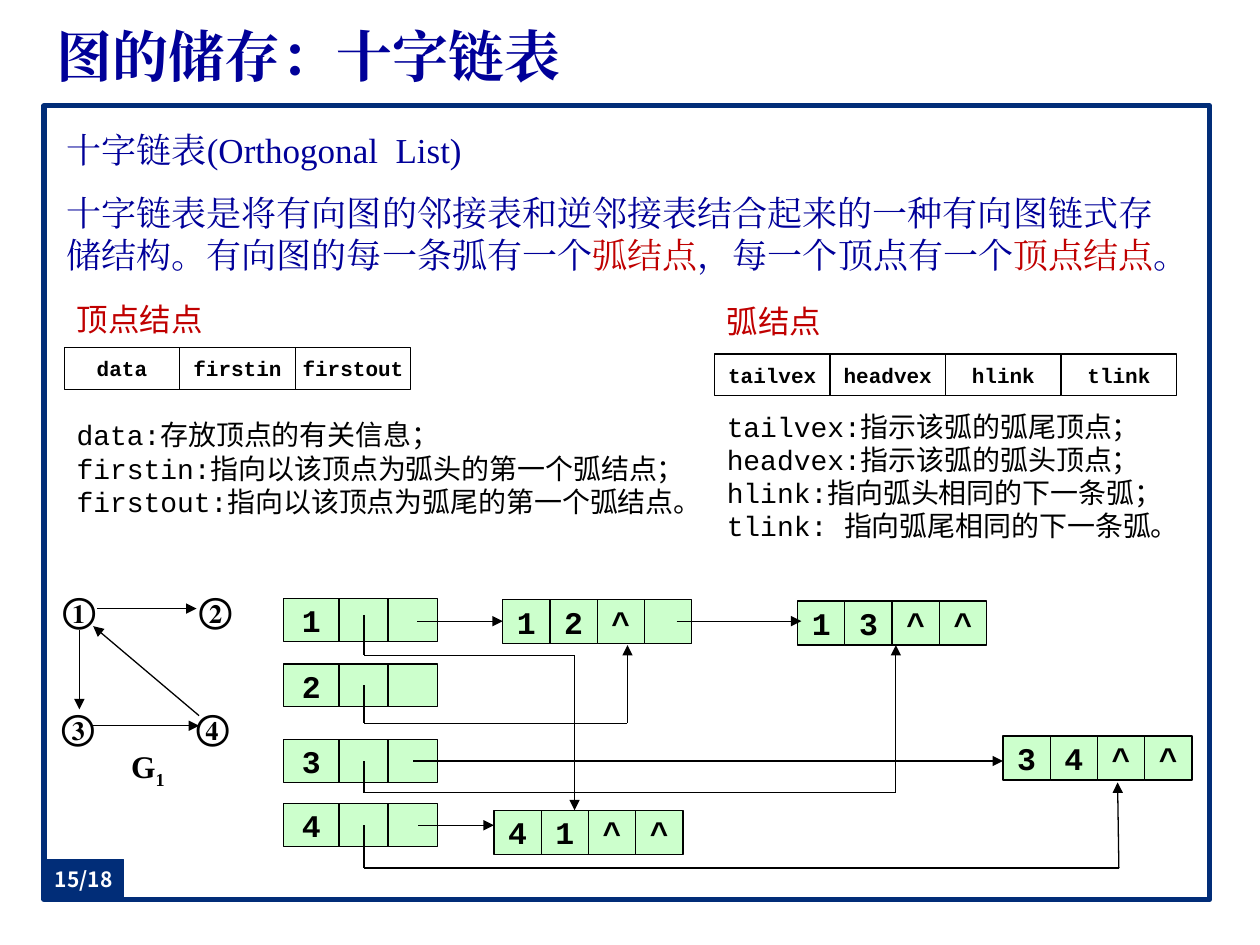
"""Build a slide on storing a directed graph as an orthogonal list."""
from dataclasses import dataclass
from itertools import pairwise

from lxml.etree import SubElement
from pptx import Presentation
from pptx.dml.color import RGBColor
from pptx.enum.shapes import MSO_CONNECTOR, MSO_SHAPE
from pptx.enum.text import MSO_ANCHOR, PP_ALIGN
from pptx.oxml.ns import qn
from pptx.util import Inches, Pt

COLORS = {
    "navy": "012D78",
    "blue": "000099",
    "red": "C00000",
    "black": "000000",
    "white": "FFFFFF",
    "green": "CCFFCC",
}
SERIF = "Times New Roman"
MONO = "Courier New"
SANS = "Noto Sans CJK SC"


@dataclass
class Run:
    text: str
    size: float
    font: str = MONO
    color: str = "black"
    bold: bool = False
    subscript: bool = False


@dataclass
class CellRow:
    left: float
    top: float
    width: float
    height: float
    labels: tuple
    size: float = 18
    fill: str = "green"


@dataclass
class Link:
    points: tuple


def rgb(name: str) -> RGBColor:
    return RGBColor.from_string(COLORS[name])


def add_run(paragraph, item: Run) -> None:
    run = paragraph.add_run()
    run.text = item.text
    run.font.size = Pt(item.size)
    run.font.bold = item.bold
    run.font.color.rgb = rgb(item.color)
    run.font.name = item.font
    properties = run.font._element
    SubElement(properties, qn("a:ea")).set("typeface", item.font)
    if item.subscript:
        properties.set("baseline", "-25000")


def write(frame, paragraphs: list, align=PP_ALIGN.LEFT, anchor=MSO_ANCHOR.TOP,
          wrap: bool = True, inset: tuple = (0.1, 0.05), spacing: float = None,
          gap: float = 0) -> None:
    frame.word_wrap = wrap
    frame.vertical_anchor = anchor
    frame.margin_left = frame.margin_right = Inches(inset[0])
    frame.margin_top = frame.margin_bottom = Inches(inset[1])
    for index, runs in enumerate(paragraphs):
        paragraph = frame.add_paragraph() if index else frame.paragraphs[0]
        paragraph.alignment = align
        paragraph.space_before = Pt(gap if index else 0)
        if spacing:
            paragraph.line_spacing = Pt(spacing)
        for run in runs:
            add_run(paragraph, run)


def add_text(slide, left: float, top: float, width: float, height: float,
             paragraphs: list, **options) -> None:
    shape = slide.shapes.add_textbox(Inches(left), Inches(top), Inches(width), Inches(height))
    write(shape.text_frame, paragraphs, **options)


def add_box(slide, left: float, top: float, width: float, height: float,
            fill: str, line: str = "black", weight: float = 0.75):
    shape = slide.shapes.add_shape(MSO_SHAPE.RECTANGLE, Inches(left), Inches(top),
                                   Inches(width), Inches(height))
    shape.shadow.inherit = False
    shape.fill.solid()
    shape.fill.fore_color.rgb = rgb(fill)
    shape.line.color.rgb = rgb(line)
    shape.line.width = Pt(weight)
    return shape


def add_cells(slide, row: CellRow) -> None:
    pitch = row.width / len(row.labels)
    for index, label in enumerate(row.labels):
        shape = add_box(slide, row.left + index * pitch, row.top, pitch, row.height, row.fill)
        if label:
            write(shape.text_frame, [[Run(label, row.size, bold=True)]], PP_ALIGN.CENTER,
                  MSO_ANCHOR.MIDDLE, wrap=False)


def add_link(slide, link: Link) -> None:
    segments = list(pairwise(link.points))
    for index, (start, end) in enumerate(segments):
        connector = slide.shapes.add_connector(
            MSO_CONNECTOR.STRAIGHT, *(Inches(value) for value in start + end))
        connector.line.color.rgb = rgb("black")
        connector.line.width = Pt(0.75)
        if index == len(segments) - 1:
            SubElement(connector.line._get_or_add_ln(), qn("a:tailEnd")).set("type", "triangle")
        SubElement(connector._element.spPr, qn("a:effectLst"))


BODY = [
    [Run("十字链表(Orthogonal  List)", 20, SERIF, "blue")],
    [Run("十字链表是将有向图的邻接表和逆邻接表结合起来的一种有向图链式存储结构。"
         "有向图的每一条弧有一个", 20, SERIF, "blue"),
     Run("弧结点", 20, SERIF, "red"),
     Run("，每一个顶点有一个", 20, SERIF, "blue"),
     Run("顶点结点", 20, SERIF, "red"),
     Run("。", 20, SERIF, "blue")],
]
VERTEX_FIELDS = ("data:存放顶点的有关信息；", "firstin:指向以该顶点为弧头的第一个弧结点；",
                 "firstout:指向以该顶点为弧尾的第一个弧结点。")
ARC_FIELDS = ("tailvex:指示该弧的弧尾顶点；", "headvex:指示该弧的弧头顶点；",
              "hlink:指向弧头相同的下一条弧；", "tlink: 指向弧尾相同的下一条弧。")
RECORDS = [
    CellRow(0.51, 2.76, 2.75, 0.33, ("data", "firstin", "firstout"), 12, "white"),
    CellRow(5.67, 2.81, 3.67, 0.33, ("tailvex", "headvex", "hlink", "tlink"), 12, "white"),
]
VERTEX_TOPS = {"1": 4.75, "2": 5.27, "3": 5.87, "4": 6.38}
ARCS = [
    CellRow(3.99, 4.76, 1.5, 0.35, ("1", "2", "^", "")),
    CellRow(6.33, 4.77, 1.5, 0.35, ("1", "3", "^", "^")),
    CellRow(3.92, 6.43, 1.5, 0.35, ("4", "1", "^", "^")),
    CellRow(7.96, 5.84, 1.5, 0.35, ("3", "4", "^", "^")),
]
LINKS = [
    Link(((3.31, 4.93), (3.99, 4.93))),
    Link(((5.37, 4.93), (6.36, 4.93))),
    Link(((3.28, 6.04), (7.96, 6.04))),
    Link(((3.32, 6.55), (3.92, 6.55))),
    Link(((2.89, 4.88), (2.89, 5.2), (4.56, 5.2), (4.56, 6.43))),
    Link(((2.89, 5.44), (2.89, 5.74), (4.98, 5.74), (4.98, 5.12))),
    Link(((2.89, 6.04), (2.89, 6.29), (7.11, 6.29), (7.11, 5.12))),
    Link(((2.89, 6.55), (2.89, 6.89), (8.88, 6.89), (8.87, 6.21))),
    Link(((0.77, 4.83), (1.56, 4.83))),
    Link(((0.63, 5), (0.63, 5.63))),
    Link(((1.58, 5.68), (0.74, 4.97))),
    Link(((0.74, 5.76), (1.58, 5.76))),
]
GRAPH_NODES = {"①": (0.5, 4.67), "②": (1.58, 4.67), "③": (0.49, 5.6), "④": (1.56, 5.6)}


def main() -> None:
    presentation = Presentation()
    presentation.slide_width, presentation.slide_height = Inches(10), Inches(7.5)
    slide = presentation.slides.add_slide(presentation.slide_layouts[5])

    title = slide.shapes.title
    title.left, title.top = Inches(0.35), Inches(0.13)
    title.width, title.height = Inches(9.25), Inches(0.62)
    write(title.text_frame, [[Run("图的储存：十字链表", 32, SERIF, "blue", True)]],
          anchor=MSO_ANCHOR.MIDDLE)

    add_box(slide, 0.35, 0.84, 9.25, 6.3, "white", "navy", 3)
    add_text(slide, 0.43, 0.92, 9.06, 1.4, BODY, inset=(0.1, 0.1), spacing=24, gap=12)

    add_text(slide, 0.51, 2.33, 1.55, 0.4, [[Run("顶点结点", 18, color="red")]])
    add_text(slide, 5.67, 2.35, 1.09, 0.4, [[Run("弧结点", 18, color="red")]])
    for left, top, width, height, fields in ((0.51, 3.27, 5.23, 0.91, VERTEX_FIELDS),
                                             (5.67, 3.2, 3.84, 1.18, ARC_FIELDS)):
        add_text(slide, left, top, width, height, [[Run(field, 16)] for field in fields],
                 wrap=False, spacing=19)

    vertices = [row for label, top in VERTEX_TOPS.items()
                for row in (CellRow(2.25, top, 0.44, 0.34, (label,)),
                            CellRow(2.69, top, 0.78, 0.34, ("", "")))]
    for row in RECORDS + vertices + ARCS:
        add_cells(slide, row)
    for link in LINKS:
        add_link(slide, link)

    for label, (left, top) in GRAPH_NODES.items():
        add_text(slide, left, top, 0.26, 0.34, [[Run(label, 20, SERIF, bold=True)]],
                 align=PP_ALIGN.CENTER, wrap=False, inset=(0, 0))
    add_text(slide, 0.94, 5.93, 0.47, 0.3,
             [[Run("G", 18, SERIF, bold=True), Run("1", 18, SERIF, bold=True, subscript=True)]],
             align=PP_ALIGN.CENTER, inset=(0, 0))

    page = add_box(slide, 0.35, 6.82, 0.63, 0.31, "navy", "navy")
    write(page.text_frame, [[Run("15/18", 12, SANS, "white", True)]], PP_ALIGN.CENTER,
          MSO_ANCHOR.MIDDLE, inset=(0, 0))
    presentation.save("out.pptx")


if __name__ == "__main__":
    main()
